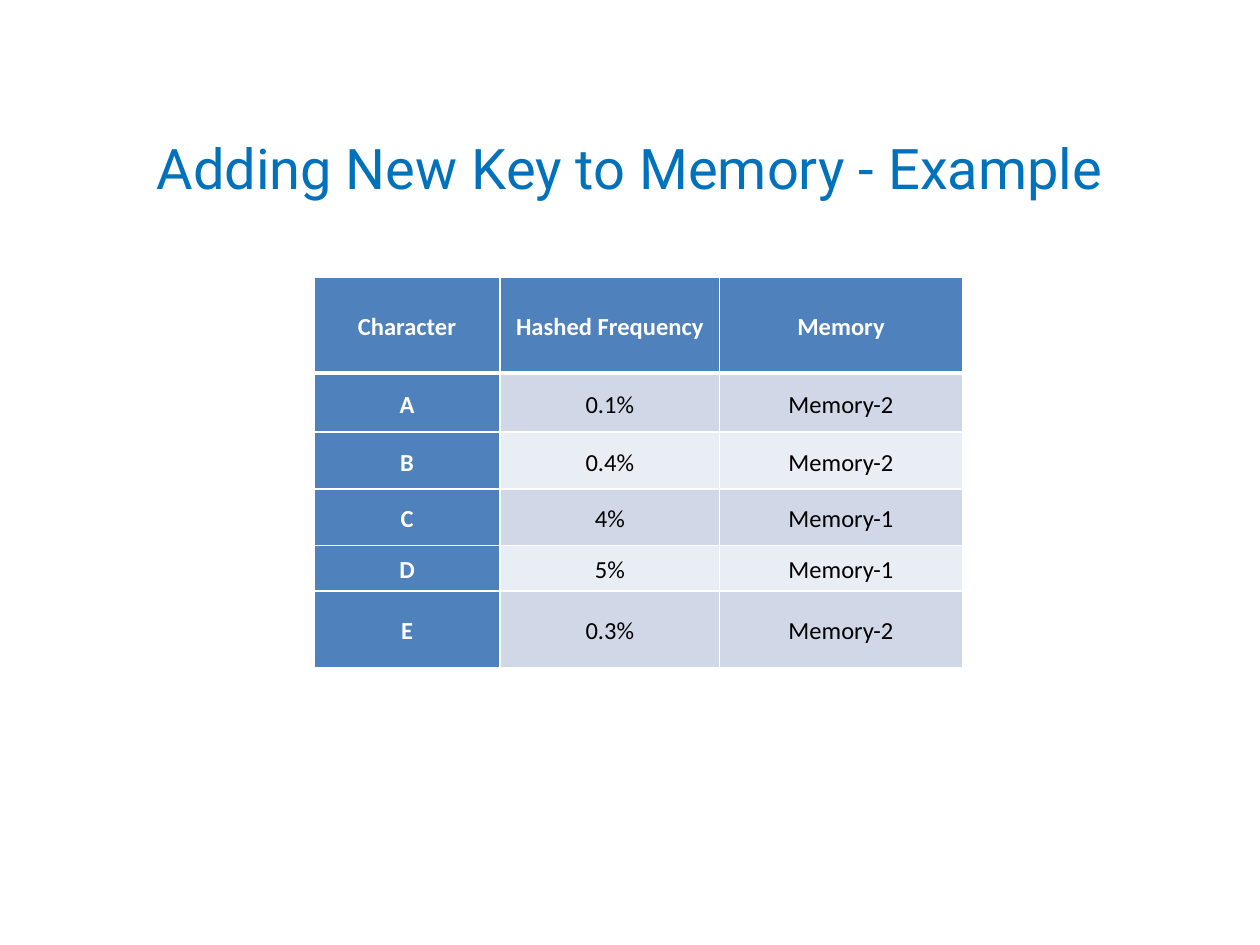
import pptx
import pptx.dml.color
import pptx.enum.text
import pptx.oxml
import pptx.oxml.ns
import pptx.util

COLORS = {"title": "0072BC", "header": "4F81BD", "odd": "D0D8E8",
          "even": "E9EDF4", "light": "FFFFFF", "dark": "000000"}
WIDTH, HEIGHT = 10, 7.5
COLUMN_WIDTHS = [1.48, 1.74, 1.93]
ROW_HEIGHTS = [0.76, 0.47, 0.45, 0.45, 0.36, 0.61]
FREQUENCIES = [
    ("Character", "Hashed Frequency", "Memory"),
    ("A", "0.1%", "Memory-2"),
    ("B", "0.4%", "Memory-2"),
    ("C", "4%", "Memory-1"),
    ("D", "5%", "Memory-1"),
    ("E", "0.3%", "Memory-2"),
]


def rgb(name):
    """Return the named colour."""
    return pptx.dml.color.RGBColor.from_string(COLORS[name])


def write(frame, text, *, font, size, color, bold=False, spacing=1.0):
    """Write one centred paragraph into a text frame."""
    frame.word_wrap = True
    frame.vertical_anchor = pptx.enum.text.MSO_ANCHOR.MIDDLE
    paragraph = frame.paragraphs[0]
    paragraph.alignment = pptx.enum.text.PP_ALIGN.CENTER
    paragraph.line_spacing = spacing
    run = paragraph.add_run()
    run.text = text
    run.font.name = font
    run.font.size = pptx.util.Pt(size)
    run.font.bold = bold
    run.font.color.rgb = rgb(color)


def set_borders(cell, **points):
    """Draw light borders, with a width in points for each side."""
    properties = cell._tc.get_or_add_tcPr()
    for index, (side, width) in enumerate(points.items()):
        border = pptx.oxml.parse_xml(
            f'<a:ln{side} {pptx.oxml.ns.nsdecls("a")} w="{pptx.util.Pt(width)}">'
            f'<a:solidFill><a:srgbClr val="{COLORS["light"]}"/></a:solidFill>'
            f'</a:ln{side}>')
        properties.insert(index, border)


def add_title(slide, text):
    """Add the slide title across the top."""
    inch = pptx.util.Inches
    title = slide.shapes.add_textbox(
        inch(WIDTH * 0.05), inch(HEIGHT * 0.11), inch(WIDTH * 0.9), inch(1))
    write(title.text_frame, text, font="Roboto", size=32, color="title")


def format_cell(cell, text, row, column):
    """Fill one table cell according to its row and column."""
    heading = row == 0 or column == 0
    cell.margin_left = cell.margin_right = pptx.util.Inches(0.07)
    cell.margin_top = cell.margin_bottom = 0
    cell.fill.solid()
    cell.fill.fore_color.rgb = rgb(
        "header" if heading else "odd" if row % 2 else "even")
    write(cell.text_frame, text, font="Calibri", size=14, bold=heading,
          color="light" if heading else "dark", spacing=1.15)
    cell.vertical_anchor = pptx.enum.text.MSO_ANCHOR.MIDDLE
    set_borders(cell, L=1, R=1, T=3 if row == 1 else 1, B=3 if row == 0 else 1)


def add_frequency_table(slide, rows):
    """Add the table of characters, frequencies and memories."""
    inch = pptx.util.Inches
    table = slide.shapes.add_table(
        len(rows), len(COLUMN_WIDTHS), inch(2.49), inch(2.2),
        inch(sum(COLUMN_WIDTHS)), inch(sum(ROW_HEIGHTS))).table
    for column, width in zip(table.columns, COLUMN_WIDTHS):
        column.width = inch(width)
    for row, height in zip(table.rows, ROW_HEIGHTS):
        row.height = inch(height)
    for row, texts in enumerate(rows):
        for column, text in enumerate(texts):
            format_cell(table.cell(row, column), text, row, column)


def main():
    """Build and save the slide."""
    deck = pptx.Presentation()
    deck.slide_width = pptx.util.Inches(WIDTH)
    deck.slide_height = pptx.util.Inches(HEIGHT)
    slide = deck.slides.add_slide(deck.slide_layouts[6])
    add_title(slide, "Adding New Key to Memory - Example")
    add_frequency_table(slide, FREQUENCIES)
    deck.save("out.pptx")


if __name__ == "__main__":
    main()
